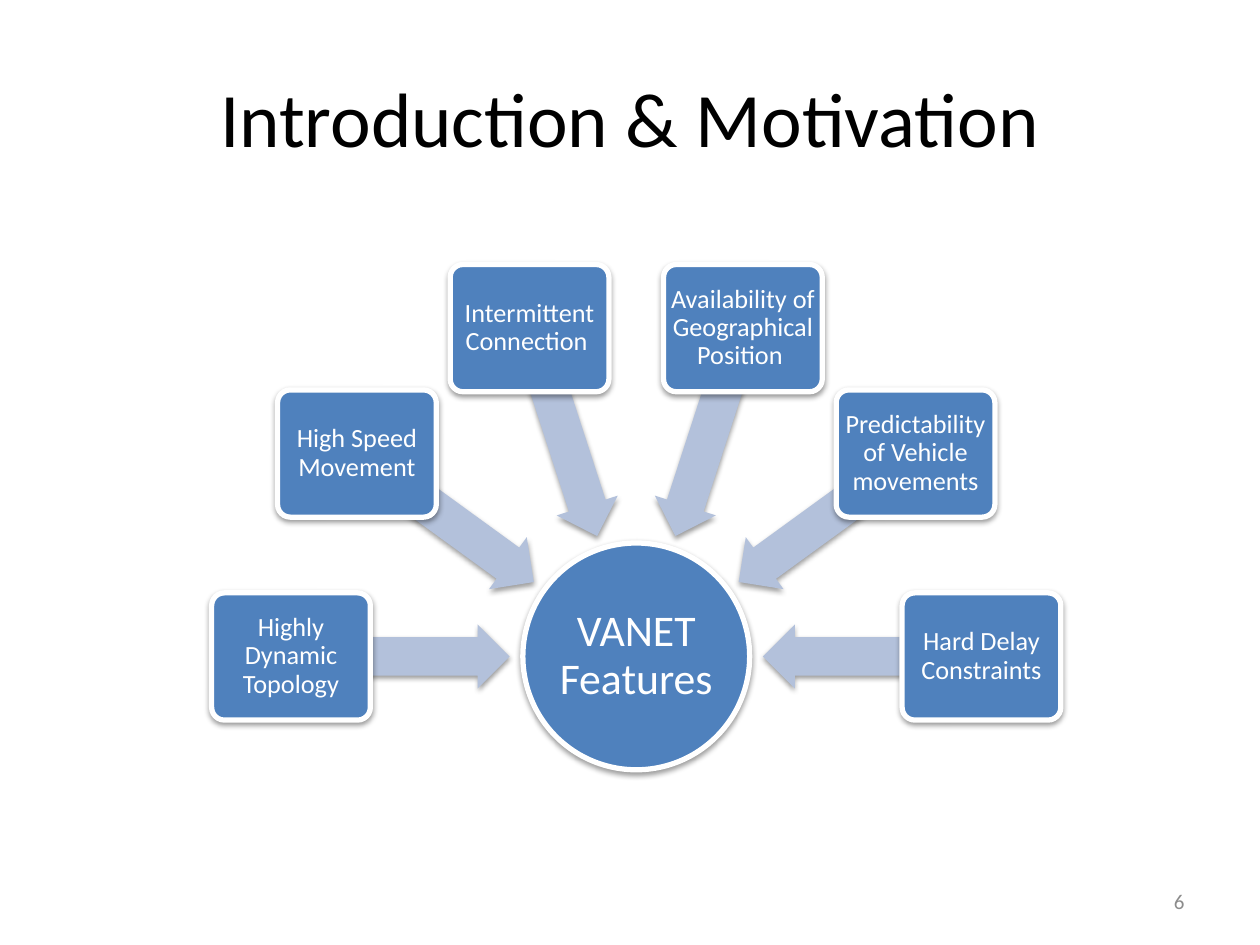
import math

from lxml import etree
from pptx import Presentation
from pptx import util as u
from pptx.dml.color import RGBColor
from pptx.enum import shapes, text
from pptx.oxml import ns

FEATURES = [
    "Highly Dynamic Topology",
    "High Speed Movement",
    "Intermittent Connection ",
    "Availability of Geographical Position ",
    "Predictability of Vehicle movements",
    "Hard Delay Constraints",
]
HUB_X, HUB_Y = 5.05, 5.21
ARROW_RADIUS, BOX_RADIUS = 1.87, 2.74
FIRST_ANGLE, ANGLE_STEP = 180, 36


def color(value):
    return RGBColor.from_string(value)


def write(frame, words, size, fill, align=text.PP_ALIGN.CENTER, inset=None, spacing=None):
    """Put one formatted paragraph into a text frame."""
    frame.word_wrap = True
    frame.vertical_anchor = text.MSO_ANCHOR.MIDDLE
    if inset is not None:
        frame.margin_left = frame.margin_right = u.Inches(inset)
        frame.margin_top = frame.margin_bottom = u.Inches(inset)
    para = frame.paragraphs[0]
    para.alignment = align
    if spacing:
        para.line_spacing = spacing
    span = para.add_run()
    span.text = words
    span.font.name = Diagram.FONT
    span.font.size = u.Pt(size)
    span.font.color.rgb = color(fill)


def on_circle(radius, angle):
    turn = math.radians(angle)
    return HUB_X + radius * math.cos(turn), HUB_Y + radius * math.sin(turn)


class Diagram:
    FONT = "Calibri"
    BLUE, PALE, WHITE = "4F81BD", "B3C1DB", "FFFFFF"

    def __init__(self, page):
        self.page = page

    def label(self, words, left, top, width, height, **style):
        box = self.page.shapes.add_textbox(*map(u.Inches, (left, top, width, height)))
        write(box.text_frame, words, **style)

    def shape(self, kind, center, width, height, fill):
        """Add a filled shape with a soft shadow around a center point."""
        x, y = center
        shape = self.page.shapes.add_shape(
            kind, *map(u.Inches, (x - width / 2, y - height / 2, width, height)))
        shape.fill.solid()
        shape.fill.fore_color.rgb = color(fill)
        shape.line.fill.background()
        shape.shadow.inherit = False
        effects = shape.element.spPr.find(ns.qn("a:effectLst"))
        shadow = etree.SubElement(effects, ns.qn("a:outerShdw"), blurRad=str(u.Pt(3.1)),
                                  dist=str(u.Pt(1.6)), dir="5400000", rotWithShape="0")
        tint = etree.SubElement(shadow, ns.qn("a:srgbClr"), val="000000")
        etree.SubElement(tint, ns.qn("a:alpha"), val="38000")
        return shape

    def node(self, kind, center, width, height, words, size, inset):
        node = self.shape(kind, center, width, height, self.BLUE)
        node.line.color.rgb = color(self.WHITE)
        node.line.width = u.Pt(3)
        write(node.text_frame, words, size, self.WHITE, inset=inset, spacing=0.9)
        return node

    def hub(self, words):
        self.node(shapes.MSO_SHAPE.OVAL, (HUB_X, HUB_Y), 1.8, 1.8, words, 25, 0.02)

    def arrow(self, angle):
        arrow = self.shape(shapes.MSO_SHAPE.LEFT_ARROW, on_circle(ARROW_RADIUS, angle),
                           1.73, 0.51, self.PALE)
        arrow.adjustments[0] = 0.6
        arrow.adjustments[1] = 0.5
        arrow.rotation = angle % 360

    def feature(self, words, angle):
        box = self.node(shapes.MSO_SHAPE.ROUNDED_RECTANGLE, on_circle(BOX_RADIUS, angle),
                        1.26, 1.01, words, 15, 0.03)
        box.adjustments[0] = 0.1


def main():
    deck = Presentation()
    deck.slide_width, deck.slide_height = u.Inches(10), u.Inches(7.5)
    diagram = Diagram(deck.slides.add_slide(deck.slide_layouts[6]))

    # Title and page number
    diagram.label("Introduction & Motivation", 0.5, 0.3, 9, 1.25, size=44, fill="000000")
    diagram.label("6", 7.17, 6.95, 2.33, 0.4, size=12, fill="8C8C8C",
                  align=text.PP_ALIGN.RIGHT)

    # Hub with features fanned over its upper half
    diagram.hub("VANET Features")
    for index, words in enumerate(FEATURES):
        angle = FIRST_ANGLE + index * ANGLE_STEP
        diagram.arrow(angle)
        diagram.feature(words, angle)

    deck.save("out.pptx")


if __name__ == "__main__":
    main()
